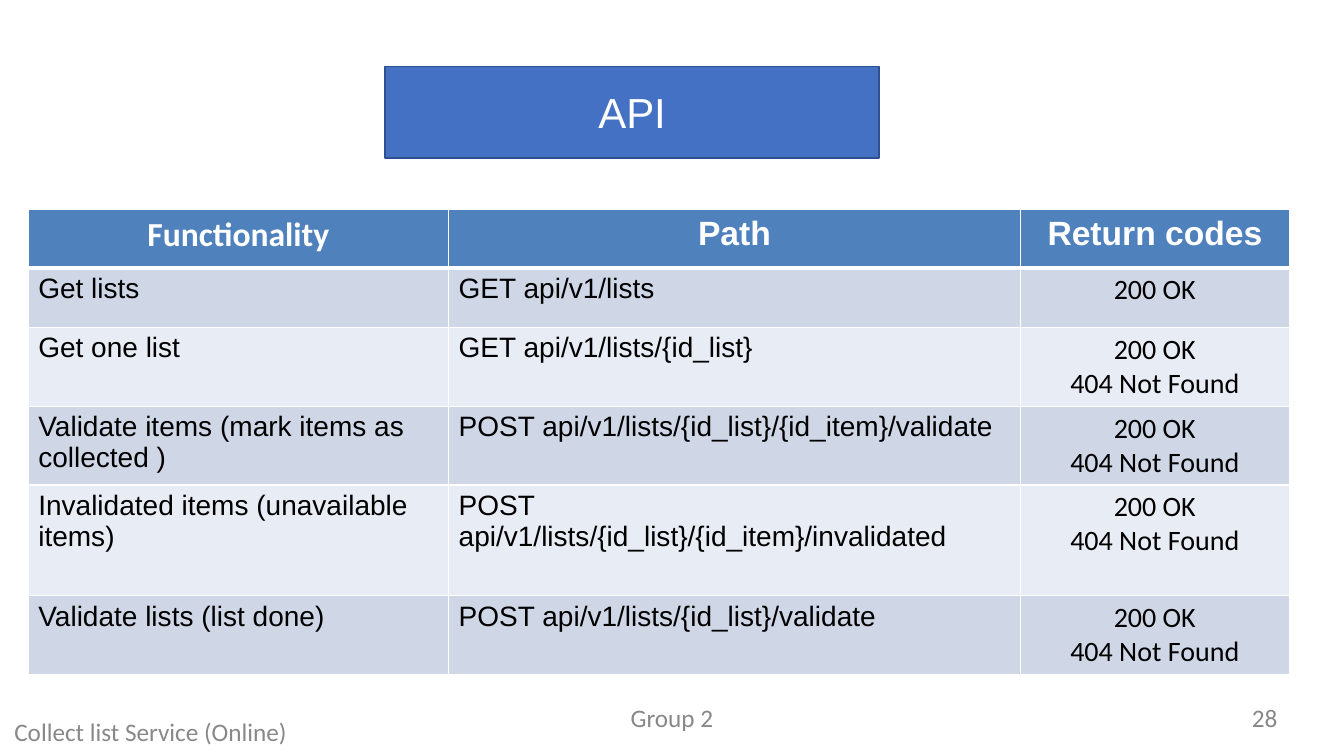
from lxml import etree
from pptx import Presentation
from pptx.dml.color import RGBColor
from pptx.enum import shapes, text
from pptx.oxml import ns
from pptx.util import Inches, Pt

HEAD = ("Functionality", "Path", "Return codes")
OK = "200 OK"
BOTH = "200 OK\n404 Not Found"
CALLS = [
    ("Get lists", "GET api/v1/lists", OK),
    ("Get one list", "GET api/v1/lists/{id_list}", BOTH),
    ("Validate items (mark items as collected )",
     "POST api/v1/lists/{id_list}/{id_item}/validate", BOTH),
    ("Invalidated items (unavailable items)",
     "POST api/v1/lists/{id_list}/{id_item}/invalidated", BOTH),
    ("Validate lists (list done)", "POST api/v1/lists/{id_list}/validate", BOTH),
]
COLS = (4.17, 5.67, 2.67)
ROWS = (0.58, 0.59, 0.77, 0.77, 1.1, 0.77)

LEFT, MID, RIGHT = text.PP_ALIGN.LEFT, text.PP_ALIGN.CENTER, text.PP_ALIGN.RIGHT
FOOT = [
    ("Group 2", (4.53, 6.97, 4.27, 0.38), MID),
    ("28", (9.6, 6.97, 3.07, 0.38), RIGHT),
    ("Collect list Service (Online)", (-0.64, 7.11, 4.27, 0.3), MID),
]

WHITE = RGBColor(0xFF, 0xFF, 0xFF)
BLACK = RGBColor(0, 0, 0)
GREY = RGBColor(0x88, 0x88, 0x88)
BLUE = RGBColor(0x44, 0x71, 0xC4)
EDGE = RGBColor(0x2E, 0x52, 0x8F)
TOP = RGBColor(0x4F, 0x81, 0xBD)
BANDS = (RGBColor(0xE8, 0xEC, 0xF4), RGBColor(0xCF, 0xD7, 0xE7))


def write(frame, words, size=20, font="Arial", color=BLACK, bold=False,
          align=LEFT, inset=None):
    frame.word_wrap = True
    if inset is not None:
        frame.margin_left = frame.margin_right = frame.margin_bottom = 0
        frame.margin_top = Inches(inset)
        frame.vertical_anchor = text.MSO_ANCHOR.TOP
    para = frame.paragraphs[0]
    para.text = words
    para.alignment = align
    for run in para.runs:
        run.font.size = Pt(size)
        run.font.name = font
        run.font.bold = bold
        run.font.color.rgb = color


def border(cell, row):
    """Draw white cell edges, thick between the head and the first row."""
    props = cell._tc.get_or_add_tcPr()
    for spot, side in enumerate("LRTB"):
        thick = (row, side) in ((0, "B"), (1, "T"))
        line = etree.Element(ns.qn("a:ln" + side), w=str(Pt(3 if thick else 1)))
        fill = etree.SubElement(line, ns.qn("a:solidFill"))
        etree.SubElement(fill, ns.qn("a:srgbClr"), val=str(WHITE))
        props.insert(spot, line)


def title(slide):
    box = slide.shapes.add_shape(shapes.MSO_SHAPE.RECTANGLE,
                                 *map(Inches, (3.82, 0.66, 4.9, 0.91)))
    box.shadow.inherit = False
    box.fill.solid()
    box.fill.fore_color.rgb = BLUE
    box.line.color.rgb = EDGE
    box.line.width = Pt(1)
    write(box.text_frame, "API", size=30, color=WHITE, align=MID, inset=0.2)


def grid(slide):
    data = [HEAD] + CALLS
    place = (0.28, 2.08, sum(COLS), sum(ROWS))
    table = slide.shapes.add_table(len(data), len(COLS),
                                   *map(Inches, place)).table
    for col, wide in zip(table.columns, COLS):
        col.width = Inches(wide)
    for r, (line, tall) in enumerate(zip(data, ROWS)):
        table.rows[r].height = Inches(tall)
        for c, words in enumerate(line):
            cell = table.cell(r, c)
            cell.fill.solid()
            cell.fill.fore_color.rgb = BANDS[r % 2] if r else TOP
            border(cell, r)
            if r:
                last = c == 2
                write(cell.text_frame, words, align=MID if last else LEFT,
                      font="Calibri" if last else "Arial")
            else:
                write(cell.text_frame, words, size=24, color=WHITE, bold=True,
                      align=MID, font="Arial" if c else "Calibri")


def main():
    deck = Presentation()
    deck.slide_width, deck.slide_height = Inches(13.33), Inches(7.5)
    slide = deck.slides.add_slide(deck.slide_layouts[6])
    title(slide)
    grid(slide)
    for words, place, align in FOOT:
        box = slide.shapes.add_textbox(*map(Inches, place))
        write(box.text_frame, words, size=18, font="Calibri", color=GREY,
              align=align, inset=0)
    deck.save("out.pptx")


if __name__ == "__main__":
    main()
